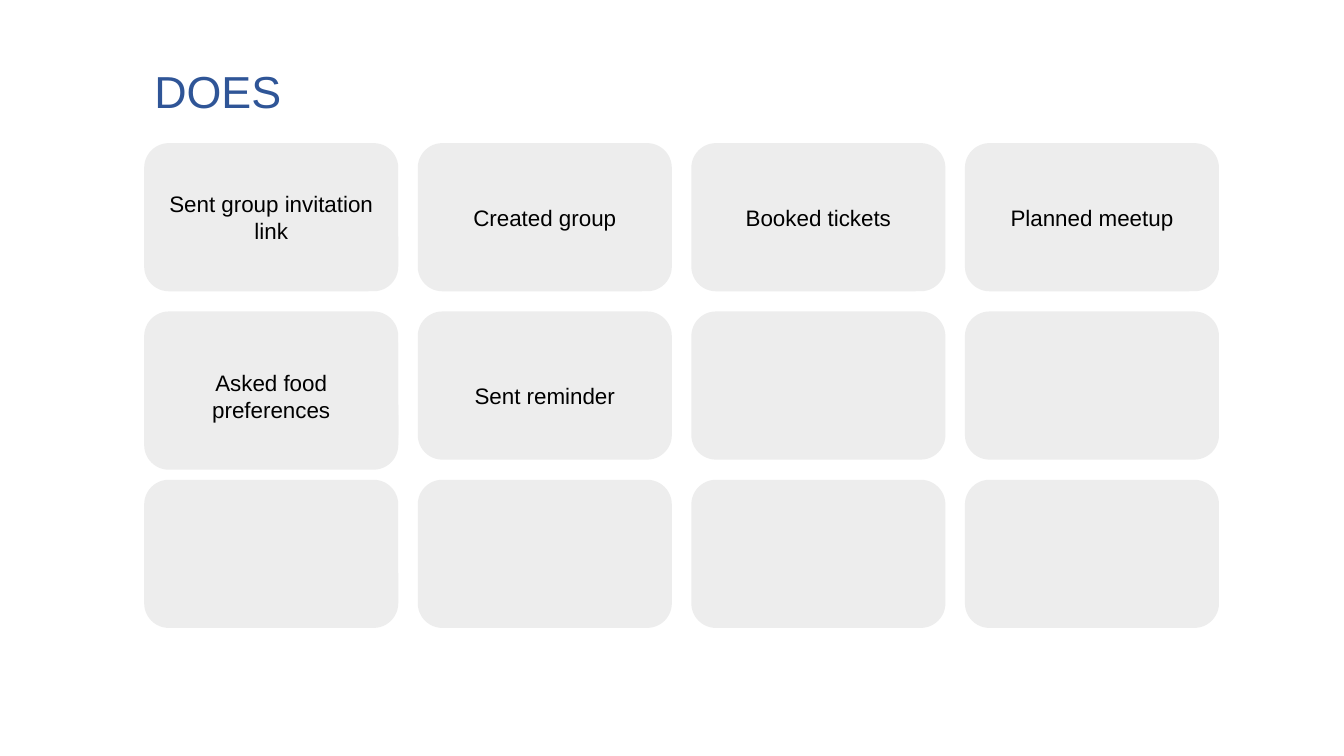
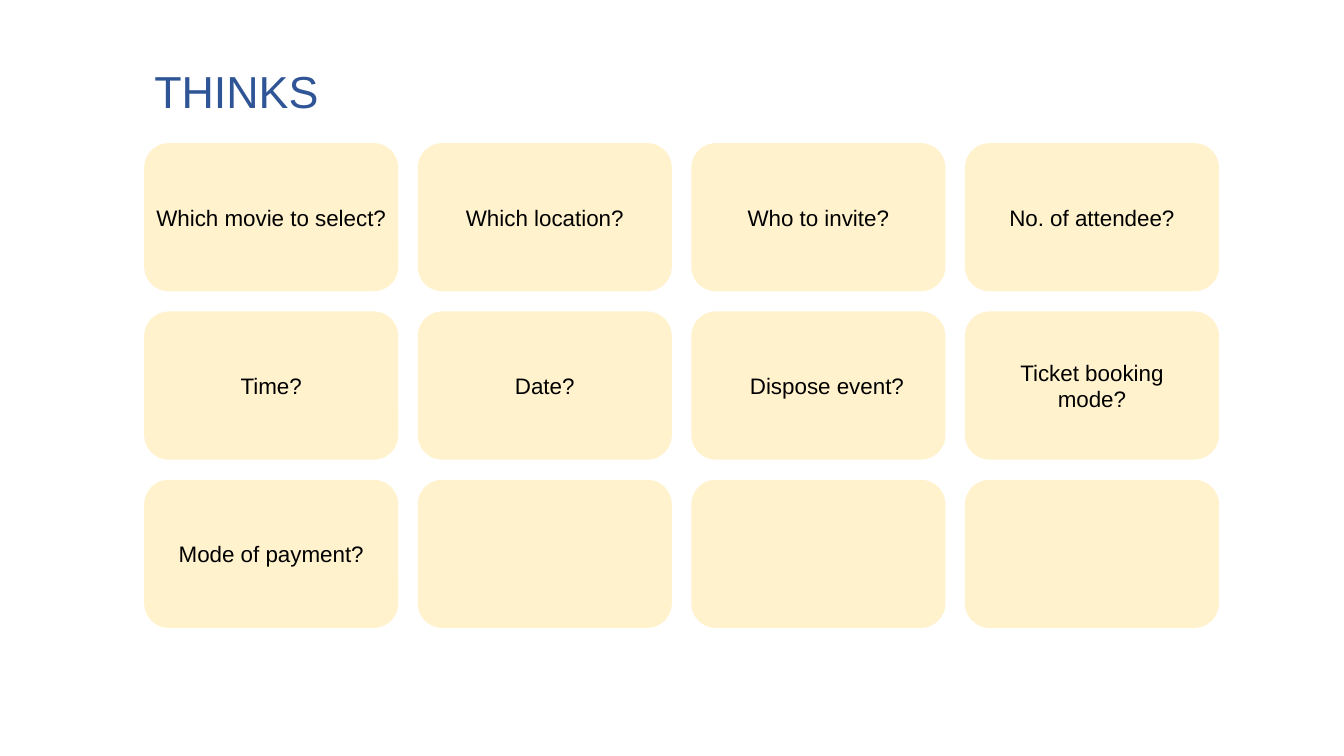
import pptx
import pptx.util
import pptx.dml.color
import pptx.enum.shapes
import pptx.enum.text

Inches = pptx.util.Inches
RGBColor = pptx.dml.color.RGBColor
Align = pptx.enum.text.PP_ALIGN
Anchor = pptx.enum.text.MSO_ANCHOR

BLUE = RGBColor(0x2F, 0x55, 0x97)
BLACK = RGBColor(0x00, 0x00, 0x00)
GREY = RGBColor(0xED, 0xED, 0xED)
CREAM = RGBColor(0xFF, 0xF2, 0xCC)

FONT = "Arial"
COLS, ROWS = 4, 3
LEFT, RIGHT, TOP = 1.43, 12.09, 1.42
WIDE, HIGH = 2.52, 1.47
STEP_X = (RIGHT - LEFT - WIDE) / (COLS - 1)
STEP_Y = 1.67

DOES = ["Sent group invitation\nlink", "Created group", "Booked tickets",
        "Planned meetup", "", "Sent reminder"]
THINKS = ["Which movie to select?", "Which location?", "Who to invite?",
          "No. of attendee?", "Time?", "Date?", "Dispose event?",
          "Ticket booking\nmode?", "Mode of payment?"]


class Deck:
    """Builds slides of titled card grids in one style."""

    def __init__(self):
        self.prs = pptx.Presentation()
        self.prs.slide_width = Inches(13.33)
        self.prs.slide_height = Inches(7.5)
        self.slide = None

    def label(self, frame, text, size, color, align):
        frame.text = text
        frame.word_wrap = True
        frame.auto_size = pptx.enum.text.MSO_AUTO_SIZE.NONE
        frame.vertical_anchor = Anchor.MIDDLE
        for para in frame.paragraphs:
            para.alignment = align
            para.font.name = FONT
            para.font.size = pptx.util.Pt(size)
            para.font.color.rgb = color

    def page(self, title):
        self.slide = self.prs.slides.add_slide(self.prs.slide_layouts[5])
        head = self.slide.shapes.title
        head.left, head.top = Inches(LEFT), Inches(0.58)
        head.width, head.height = Inches(RIGHT - LEFT), Inches(0.64)
        self.label(head.text_frame, title, 32, BLUE, Align.LEFT)

    def card(self, col, row, text, fill, drop=0):
        card = self.slide.shapes.add_shape(
            pptx.enum.shapes.MSO_SHAPE.ROUNDED_RECTANGLE,
            Inches(LEFT + col * STEP_X), Inches(TOP + row * STEP_Y + drop),
            Inches(WIDE), Inches(HIGH))
        card.shadow.inherit = False
        card.fill.solid()
        card.fill.fore_color.rgb = fill
        card.line.fill.background()
        frame = card.text_frame
        frame.margin_left = frame.margin_right = 0
        frame.margin_top = frame.margin_bottom = 0
        if text:
            self.label(frame, text, 16, BLACK, Align.CENTER)
        return card

    def grid(self, texts, fill):
        texts = texts + [""] * (COLS * ROWS - len(texts))
        return [self.card(i % COLS, i // COLS, text, fill)
                for i, text in enumerate(texts)]


def main():
    deck = Deck()

    deck.page("DOES")
    cards = deck.grid(DOES, GREY)
    cards[DOES.index("Sent reminder")].text_frame.margin_top = Inches(0.2)
    deck.card(0, 1, "Asked food\npreferences", GREY, drop=0.1)

    deck.page("THINKS")
    cards = deck.grid(THINKS, CREAM)
    cards[THINKS.index("Dispose event?")].text_frame.margin_left = Inches(0.17)

    deck.prs.save("out.pptx")


if __name__ == "__main__":
    main()
